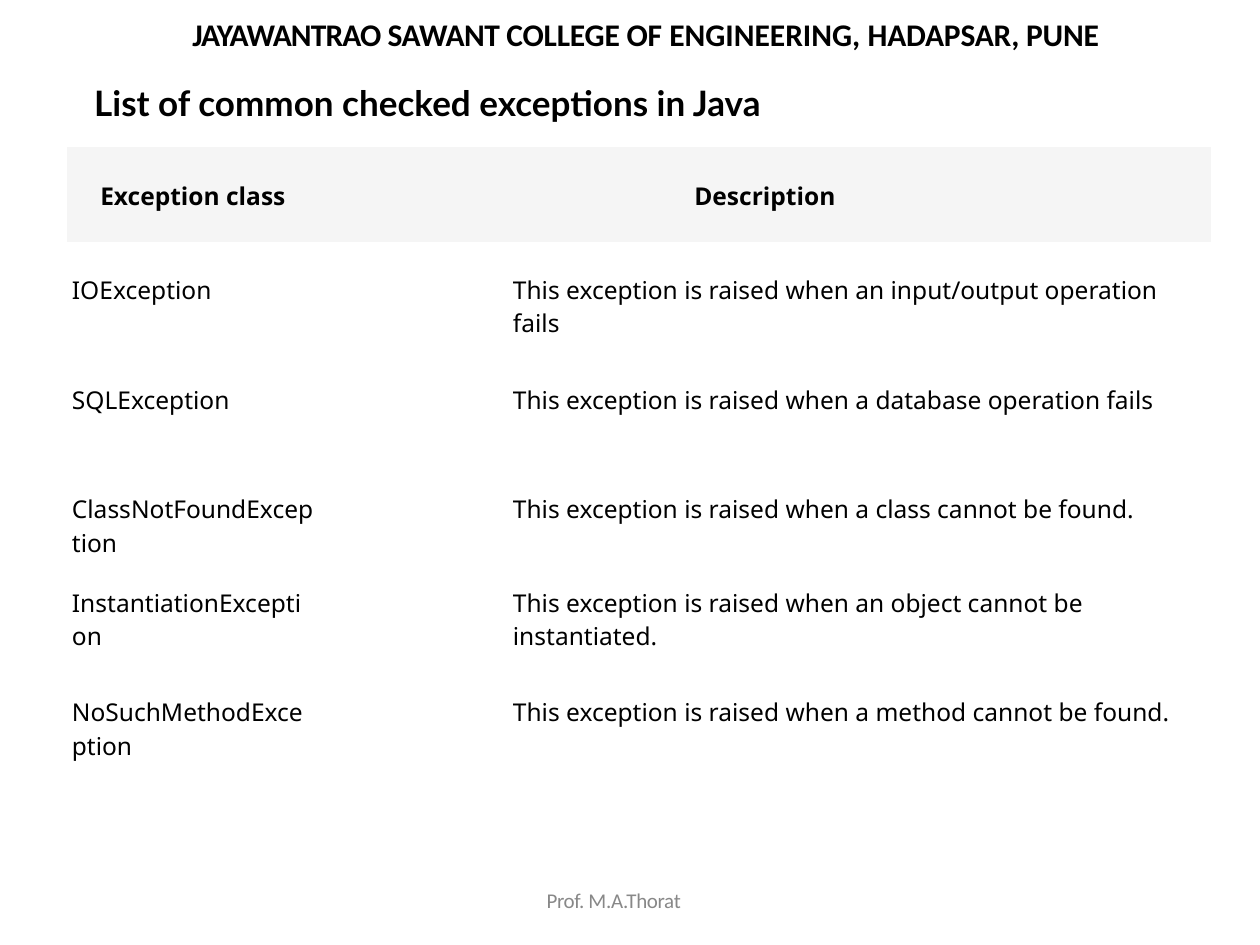
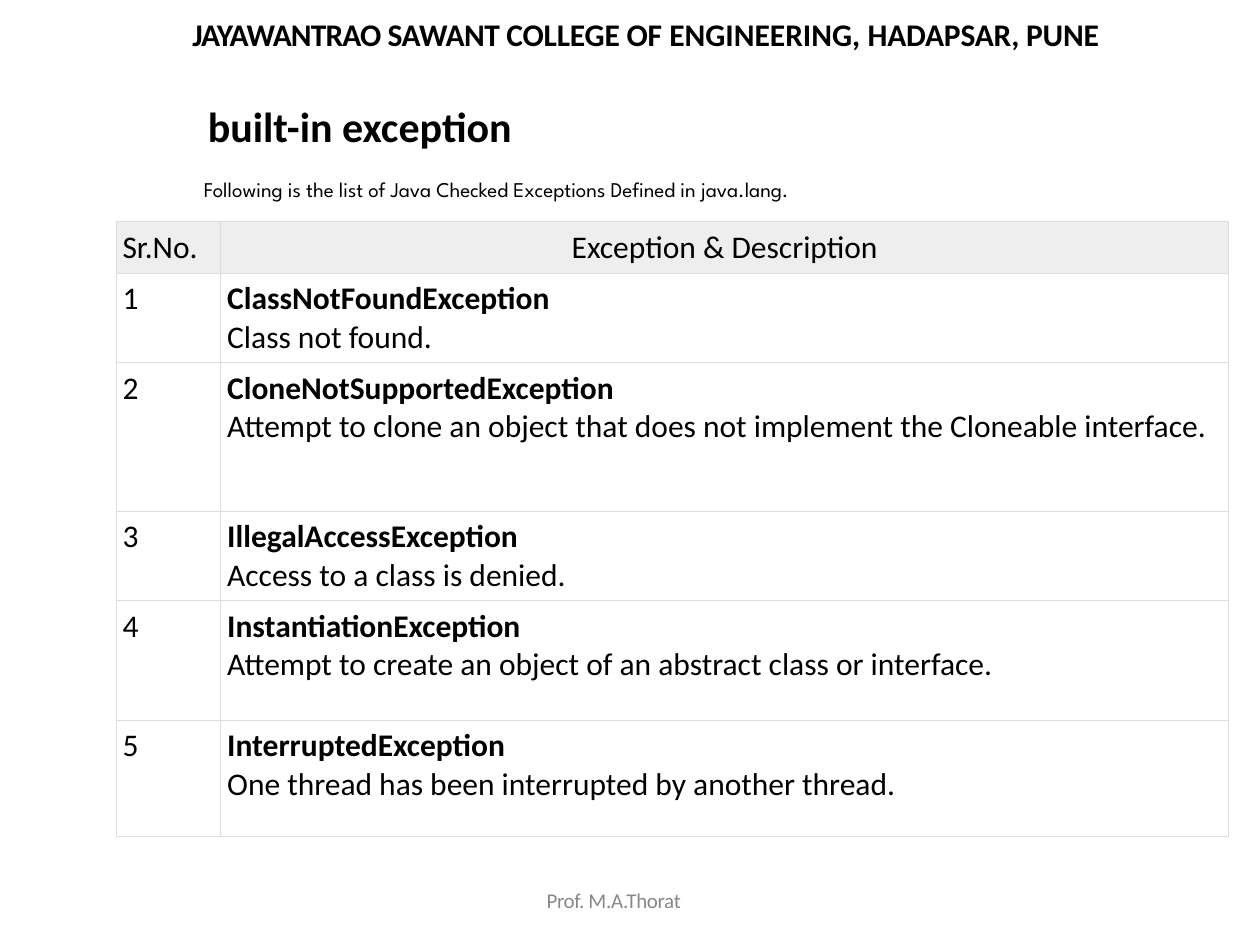
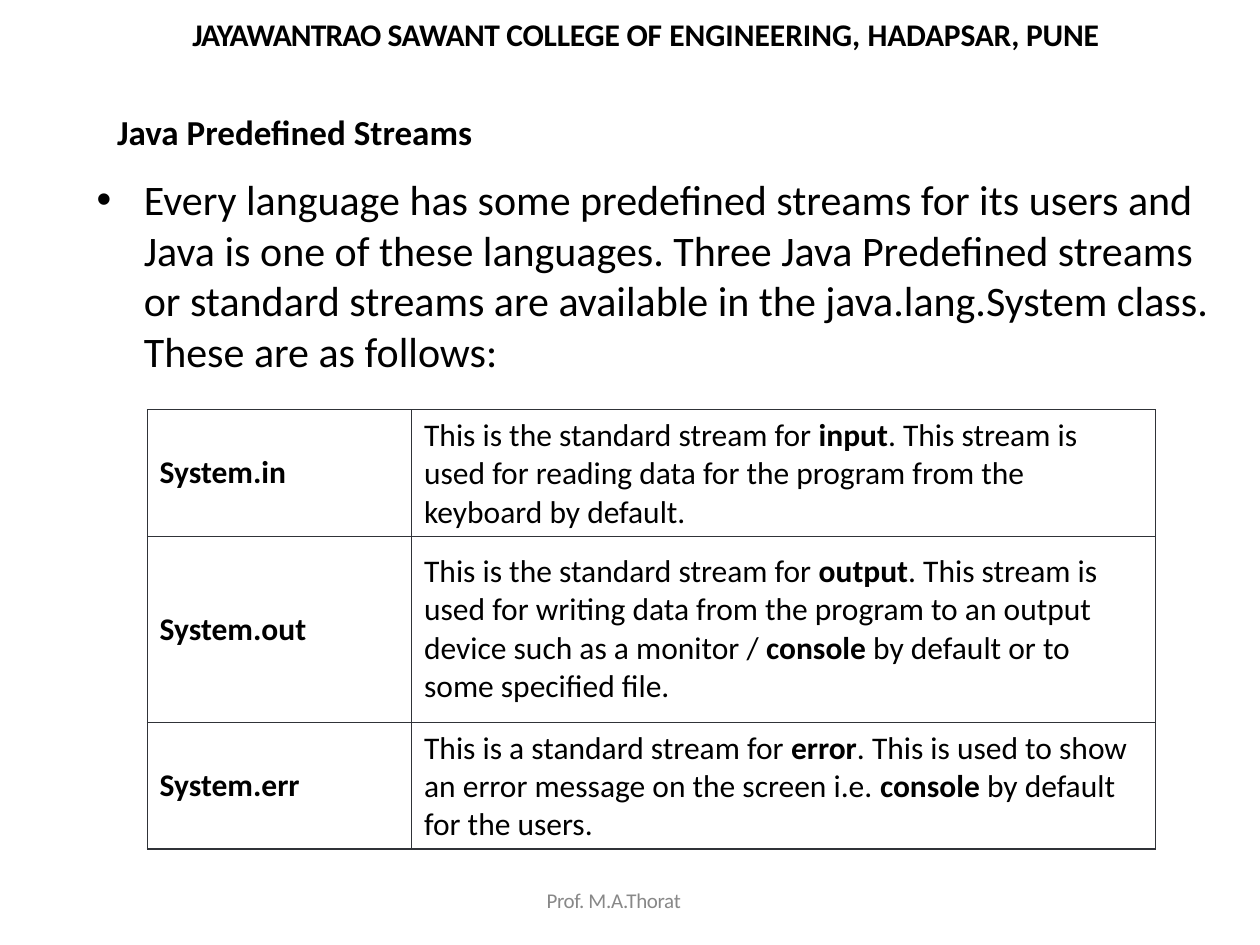
"""Build three lecture slides on Java exceptions and predefined streams."""
from lxml import etree
from pptx import Presentation
from pptx.dml.color import RGBColor
from pptx.enum.text import MSO_ANCHOR as VA, PP_ALIGN as AL
from pptx.oxml.ns import qn
from pptx.util import Cm, Pt

rgb = RGBColor.from_string
BLACK, WHITE, GREY = "000000", "FFFFFF", "888888"
NO_STYLE = "{2D5ABB26-0587-4C30-8999-92F81FD0307C}"


def add_runs(p, runs, size, font="Calibri", color=BLACK):
    for text, bold, spacing in runs:
        r = p.add_run()
        r.text = text
        r.font.size, r.font.name, r.font.bold = Pt(size), font, bold
        r.font.color.rgb = rgb(color)
        if spacing:
            r._r.get_or_add_rPr().set("spc", str(spacing))


def add_box(s, at, runs, size, font="Calibri", color=BLACK, inset=True):
    sp = s.shapes.add_textbox(*map(Cm, at))
    tf = sp.text_frame
    tf.word_wrap = True
    if not inset:
        tf.margin_left = tf.margin_right = tf.margin_top = tf.margin_bottom = 0
    add_runs(tf.paragraphs[0], runs, size, font, color)
    return sp


prs = Presentation()
prs.slide_width, prs.slide_height = Cm(25.4), Cm(19.05)

college = [("JAYAWANTRAO ", True, -50), ("SAWANT ", True, -30), ("COLLEGE OF", True, -10),
           (" ENGINEERING, ", True, 0), ("HADAPSAR, PUNE", True, -10)]
titles = [
    ("List of common checked exceptions in Java", (1.9, 1.65, 14.88, 1.63), 20, "Lato", False),
    ("built-in exception", (3.94, 1.9, 18.08, 1.27), 24, "Calibri", True),
    ("Java Predefined Streams", (2.11, 2.11, 10, 1.02), 20, "Calibri", True),
]
slides = []
for title, at, size, font, inset in titles:
    s = prs.slides.add_slide(prs.slide_layouts[6])
    slides.append(s)
    sp = add_box(s, (3.88, 0.28, 18.69, 0.84), college, 18, inset=False)
    sp.text_frame.margin_top = Cm(0.03)
    sp.text_frame.paragraphs[0].space_before = Pt(1)
    sp = add_box(s, at, [(title, True, 0)], size, font, inset=inset)
    if not inset:
        sp.fill.solid()
        sp.fill.fore_color.rgb = rgb(WHITE)
    sp = add_box(s, (11.02, 17.96, 3.4, 0.48), [("Prof. M.A.Thorat", False, -20)],
                 12, color=GREY, inset=False)
    sp.text_frame.paragraphs[0].line_spacing = Pt(12.4)

caption = "Following is the list of Java Checked Exceptions Defined in java.lang."
sp = add_box(slides[1], (3.86, 3.18, 18, 1.27), [(caption, False, 0)], 12, "League Spartan")
sp.text_frame.vertical_anchor = VA.MIDDLE

intro = ("Every language has some predefined streams for its users and Java is one of these "
         "languages. Three Java Predefined streams or standard streams are available in the "
         "java.lang.System class. These are as follows:")
sp = add_box(slides[2], (1.7, 3.38, 23.06, 5.38), [(intro, False, 0)], 24)
pPr = sp.text_frame.paragraphs[0]._p.get_or_add_pPr()
pPr.set("marL", str(Cm(0.95)))
pPr.set("indent", str(-Cm(0.95)))
etree.SubElement(pPr, qn("a:buFont")).set("typeface", "Arial")
etree.SubElement(pPr, qn("a:buChar")).set("char", "•")

checked = [
    ("IOException", "an input/output operation fails"),
    ("SQLException", "a database operation fails"),
    ("ClassNotFoundException", "a class cannot be found."),
    ("InstantiationException", "an object cannot be instantiated."),
    ("NoSuchMethodException", "a method cannot be found."),
]
checked_rows = [[[[("Exception class", True, 0)]], [[("Description", True, 0)]]]]
for name, cause in checked:
    checked_rows.append([[[(name, False, 0)]],
                         [[("This exception is raised when " + cause, False, 0)]]])

builtin = [
    ("ClassNotFoundException", "Class not found."),
    ("CloneNotSupportedException",
     "Attempt to clone an object that does not implement the Cloneable interface."),
    ("IllegalAccessException", "Access to a class is denied."),
    ("InstantiationException", "Attempt to create an object of an abstract class or interface."),
    ("InterruptedException", "One thread has been interrupted by another thread."),
]
builtin_rows = [[[[("Sr.No.", False, 0)]], [[("Exception & Description", False, 0)]]]]
for number, (name, meaning) in enumerate(builtin, 1):
    builtin_rows.append([[[(str(number), False, 0)]],
                         [[(name, True, 0)], [(meaning, False, 0)]]])

streams = [
    ("System.in", "This is the standard stream for *input*. This stream is used for reading "
                  "data for the program from the keyboard by default."),
    ("System.out", "This is the standard stream for *output*. This stream is used for writing "
                   "data from the program to an output device such as a monitor / *console* "
                   "by default or to some specified file."),
    ("System.err", "This is a standard stream for *error*. This is used to show an error "
                   "message on the screen i.e. *console* by default for the users."),
]
stream_rows = []
for name, use in streams:
    runs = [(part, i % 2 == 1, 0) for i, part in enumerate(use.split("*"))]
    stream_rows.append([[[(name, True, 0)]], [runs]])

tables = [
    dict(rows=checked_rows, at=(1.35, 2.97), cols=(5.08, 17.98), size=14, font="Noto Sans",
         heights=(1.9, 2.21, 2.21, 1.88, 2.21, 2.21), margins=(0.1, 0.64, 0.1, 0),
         head="F5F5F5", border=None, indent=3.81, align=AL.LEFT, anchor=VA.TOP),
    dict(rows=builtin_rows, at=(2.34, 4.47), cols=(2.11, 20.32), size=18, font="Calibri",
         heights=(1.04, 1.8, 3, 1.8, 2.41, 2.34), margins=(0.13, 0.13, 0.13, 0.13),
         head="EEEEEE", border="DDDDDD", indent=0, align=AL.JUSTIFY, anchor=VA.TOP),
    dict(rows=stream_rows, at=(2.97, 8.26), cols=(5.33, 14.99), size=18, font="Calibri",
         heights=(2.54, 3.76, 2.54), margins=(0.25, 0.13, 0.25, 0.13),
         head=None, border="303338", indent=0, align=AL.LEFT, anchor=VA.MIDDLE),
]
for s, t in zip(slides, tables):
    width, height = sum(t["cols"]), sum(t["heights"])
    gf = s.shapes.add_table(len(t["rows"]), 2, *map(Cm, (*t["at"], width, height)))
    tbl = gf.table
    tbl.first_row = tbl.horz_banding = False
    tbl._tbl.tblPr.find(qn("a:tableStyleId")).text = NO_STYLE
    for col, w in zip(tbl.columns, t["cols"]):
        col.width = Cm(w)
    for i, (row, h) in enumerate(zip(t["rows"], t["heights"])):
        tbl.rows[i].height = Cm(h)
        is_head = i == 0 and t["head"] is not None
        for j, paras in enumerate(row):
            cell = tbl.cell(i, j)
            cell.margin_left, cell.margin_top, cell.margin_right, cell.margin_bottom = map(
                Cm, t["margins"])
            cell.vertical_anchor = t["anchor"]
            tf = cell.text_frame
            for k, runs in enumerate(paras):
                p = tf.add_paragraph() if k else tf.paragraphs[0]
                add_runs(p, runs, t["size"], t["font"])
                if is_head and (j == 1 or t["indent"]):
                    p.alignment = AL.CENTER
                elif j == 1:
                    p.alignment = t["align"]
                    p._p.get_or_add_pPr().set("marL", str(Cm(t["indent"])))
            if t["border"]:
                for side in ("lnL", "lnR", "lnT", "lnB"):
                    ln = etree.SubElement(cell._tc.get_or_add_tcPr(), qn("a:" + side))
                    ln.set("w", str(Pt(0.75)))
                    fill = etree.SubElement(ln, qn("a:solidFill"))
                    etree.SubElement(fill, qn("a:srgbClr")).set("val", t["border"])
            cell.fill.solid()
            cell.fill.fore_color.rgb = rgb(t["head"] if is_head else WHITE)

prs.save("out.pptx")
